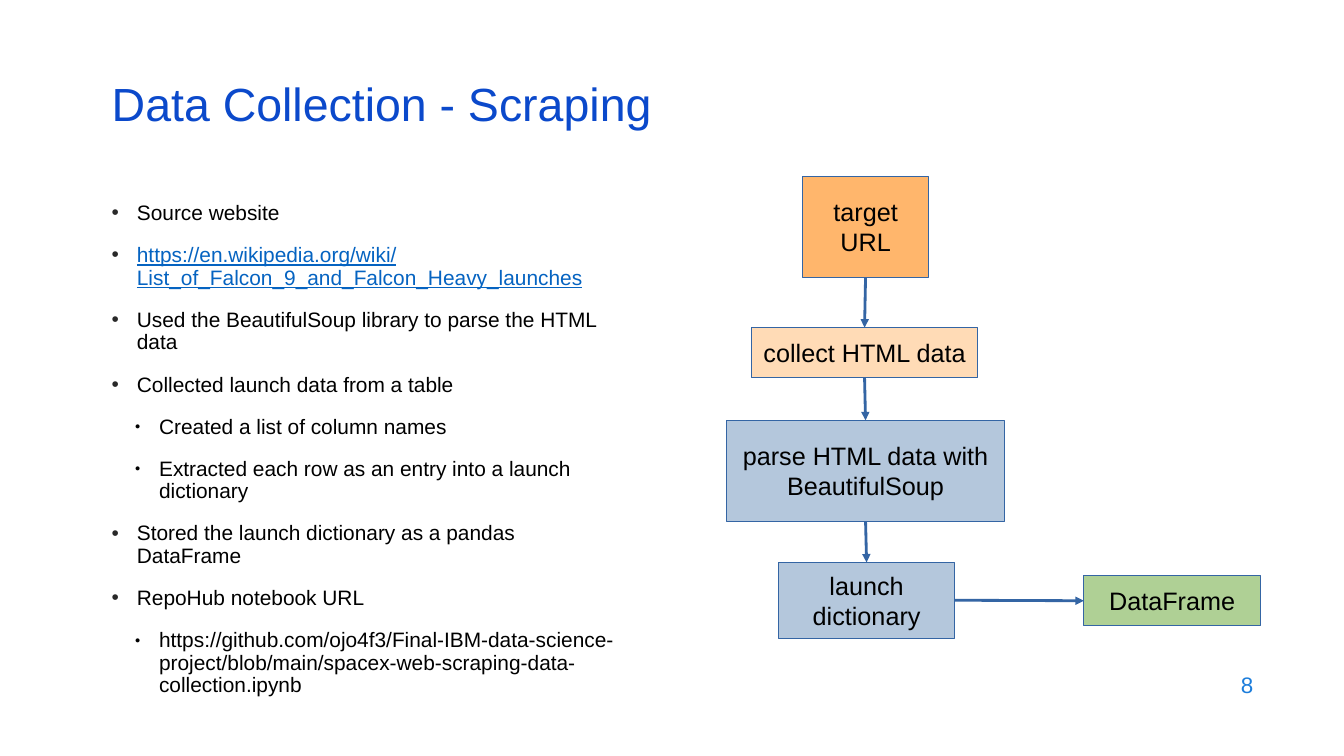
from lxml import etree
from pptx import Presentation
from pptx import util as u
from pptx.dml.color import RGBColor
from pptx.enum import shapes, text
from pptx.oxml.ns import qn

PX = 9144  # EMU per px, 100 px to the inch
COLORS = {
    "title": "0B49CB", "ink": "000000", "link": "0563C1", "page": "1C7DDB",
    "bullet": "292929", "edge": "3465A4", "orange": "FFB66C",
    "peach": "FFDBB6", "blue": "B4C7DC", "green": "AFD095",
}
TOP, LEFT, BOTTOM, RIGHT = range(4)  # connection sites of a rectangle

# level: (left margin px, hanging px, bullet, bullet colour, bullet size %)
BULLETS = [(25, 25, "•", "bullet", 100), (47, 24, "●", "ink", 45)]
NOTES = [
    (0, "Source website", "ink"),
    (0, "https://en.wikipedia.org/wiki/List_of_Falcon_9_and_Falcon_Heavy_launches", "link"),
    (0, "Used the BeautifulSoup library to parse the HTML data", "ink"),
    (0, "Collected launch data from a table", "ink"),
    (1, "Created a list of column names", "ink"),
    (1, "Extracted each row as an entry into a launch dictionary", "ink"),
    (0, "Stored the launch dictionary as a pandas DataFrame", "ink"),
    (0, "RepoHub notebook URL", "ink"),
    (1, "https://github.com/ojo4f3/Final-IBM-data-science-project/blob/main/"
        "spacex-web-scraping-data-collection.ipynb", "ink"),
]
STEPS = [
    ("target URL", (796, 175, 125, 100), "orange"),
    ("collect HTML data", (745, 325, 225, 50), "peach"),
    ("parse HTML data with BeautifulSoup", (721, 417, 275, 100), "blue"),
    ("launch dictionary", (772, 558, 175, 75), "blue"),
    ("DataFrame", (1075, 571, 175, 50), "green"),
]


class SlideBuilder:
    font = "Arial"

    def __init__(self, slide):
        self.slide = slide

    def color(self, name):
        return RGBColor.from_string(COLORS[name])

    def style(self, paragraph, size, color):
        paragraph.font.name = self.font
        paragraph.font.size = u.Pt(size)
        paragraph.font.color.rgb = self.color(color)

    def frame(self, box, anchor):
        frame = box.text_frame
        frame.word_wrap = True
        frame.vertical_anchor = anchor
        return frame

    def text_box(self, place, anchor=text.MSO_ANCHOR.MIDDLE):
        box = self.slide.shapes.add_textbox(*(v * PX for v in place))
        return self.frame(box, anchor)

    def label(self, words, place, size, color, align=text.PP_ALIGN.LEFT):
        line = self.text_box(place).paragraphs[0]
        line.text = words
        line.alignment = align
        line.line_spacing = 0.9
        self.style(line, size, color)

    def bullet(self, paragraph, level):
        margin, hanging, char, color, percent = BULLETS[level]
        props = paragraph._p.get_or_add_pPr()
        props.set("marL", str(margin * PX))
        props.set("indent", str(-hanging * PX))
        paint = etree.SubElement(props, qn("a:buClr"))
        etree.SubElement(paint, qn("a:srgbClr"), val=COLORS[color])
        etree.SubElement(props, qn("a:buSzPct"), val=str(percent * 1000))
        etree.SubElement(props, qn("a:buFont"), typeface=self.font)
        etree.SubElement(props, qn("a:buChar"), char=char)

    def bullet_list(self, notes, place, size):
        frame = self.text_box(place, text.MSO_ANCHOR.TOP)
        for i, (level, words, color) in enumerate(notes):
            note = frame.add_paragraph() if i else frame.paragraphs[0]
            note.text = words
            note.level = level
            self.bullet(note, level)
            note.line_spacing = 0.9
            note.space_before = u.Pt(14 if i else 0)
            self.style(note, size, color)
            if color == "link":
                note.font.underline = True

    def step(self, words, place, fill):
        box = self.slide.shapes.add_shape(
            shapes.MSO_SHAPE.RECTANGLE, *(v * PX for v in place))
        box.shadow.inherit = False
        box.fill.solid()
        box.fill.fore_color.rgb = self.color(fill)
        box.line.color.rgb = self.color("edge")
        box.line.width = 0
        line = self.frame(box, text.MSO_ANCHOR.MIDDLE).paragraphs[0]
        line.text = words
        line.alignment = text.PP_ALIGN.CENTER
        self.style(line, 18, "ink")
        return box

    def arrow(self, source, source_site, target, target_site):
        link = self.slide.shapes.add_connector(
            shapes.MSO_CONNECTOR.STRAIGHT, 0, 0, 0, 0)
        link.begin_connect(source, source_site)
        link.end_connect(target, target_site)
        link.line.color.rgb = self.color("edge")
        link.line.width = 0
        etree.SubElement(link.line._get_or_add_ln(), qn("a:tailEnd"), type="triangle")
        etree.SubElement(link._element.spPr, qn("a:effectLst"))


def main():
    deck = Presentation()
    deck.slide_width, deck.slide_height = 1333 * PX, 750 * PX
    page = SlideBuilder(deck.slides.add_slide(deck.slide_layouts[6]))

    page.bullet_list(NOTES, (101, 196, 524, 454), 14.9)
    page.label("Data Collection - Scraping", (101, 76, 1150, 60), 33.2, "title")

    *column, data_frame = [page.step(*step) for step in STEPS]
    for upper, lower in zip(column, column[1:]):
        page.arrow(upper, BOTTOM, lower, TOP)
    page.arrow(column[-1], RIGHT, data_frame, LEFT)

    page.label("8", (953, 659, 300, 44), 16, "page", text.PP_ALIGN.RIGHT)
    deck.save("out.pptx")


if __name__ == "__main__":
    main()
